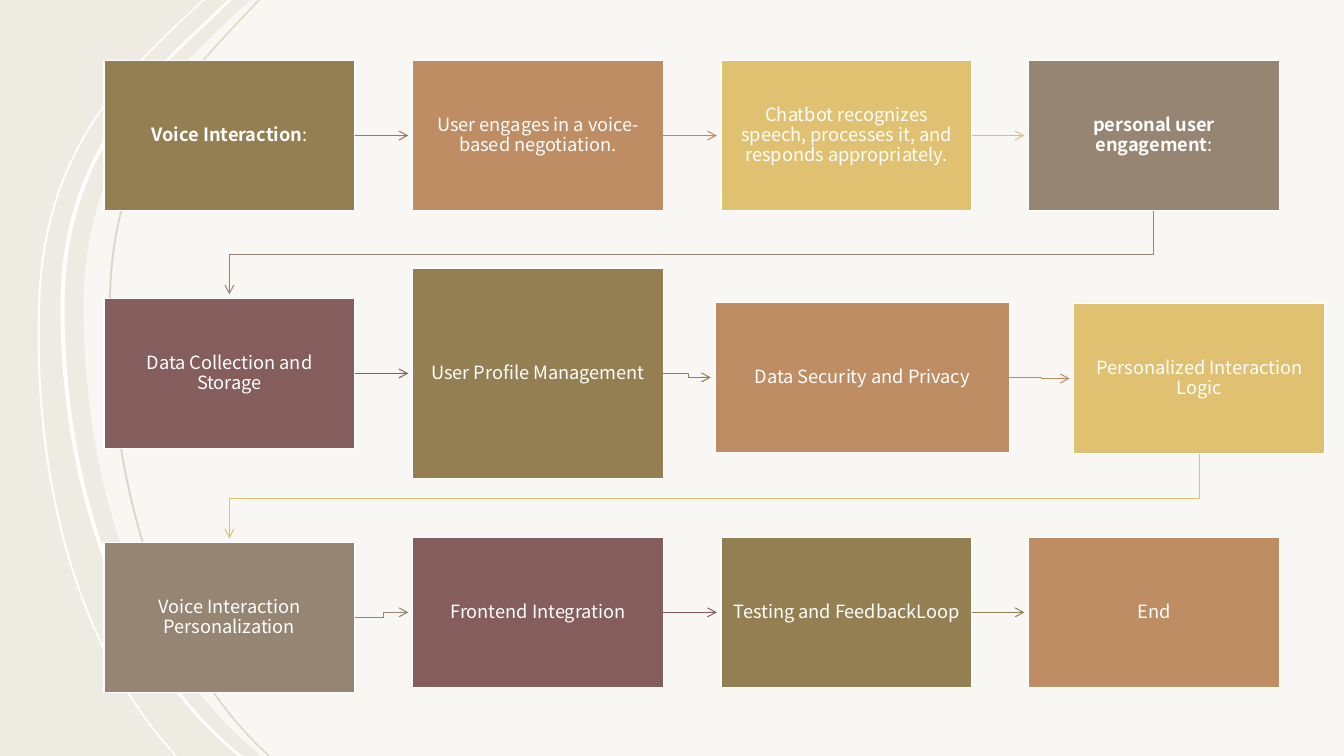
from dataclasses import dataclass
from typing import Any

from pptx import Presentation
from pptx import util as u
from pptx.dml.color import RGBColor
from pptx.enum import shapes, text
from pptx.oxml import parse_xml
from pptx.oxml.ns import nsdecls, qn

Point = tuple[float, float]
Segment = tuple[Point, ...]
WIDTH, HEIGHT = 13.33, 7.5


@dataclass(frozen=True)
class Theme:
    font: str = "Noto Sans CJK JP"
    size: float = 13
    outline: float = 1
    arrow: float = 0.75
    background: str = "EEEBE2"
    white: str = "FFFFFF"
    hairline: str = "DDD7C5"
    cycle: tuple[str, ...] = ("947F53", "BE8D64", "E0C171", "968572", "855D5D")


@dataclass(frozen=True)
class Arc:
    top: float
    shoulder: Point
    upper: tuple[Point, Point, Point]
    lower: tuple[Point, Point, Point]
    bottom: float
    color: str
    thickness: float | None = None
    opacity: int = 100


@dataclass(frozen=True)
class Step:
    label: str
    bold: str = ""
    shift: Point = (0, 0)
    size: Point = (2.49, 1.49)


@dataclass(frozen=True)
class Grid:
    lefts: tuple[float, ...] = (1.03, 4.09, 7.15, 10.2)
    tops: tuple[float, ...] = (0.6, 2.96, 5.33)
    height: float = 1.49
    gap: float = 0.04
    bend: int = 53000


THEME = Theme()
GRID = Grid()
ARCS = [
    Arc(2.48, (2.11, 0.35), ((1.39, 1.04), (0.83, 1.79), (0.83, 3.04)),
        ((0.83, 4.92), (1.45, 6.57), (2.57, 7.48)), 2.59, THEME.white, opacity=60),
    Arc(2.01, (1.75, 0.24), ((1.02, 0.93), (0.43, 1.68), (0.38, 2.97)),
        ((0.31, 4.8), (0.78, 6.45), (1.71, 7.47)), 1.73, THEME.white, 0.02),
    Arc(2.26, (1.89, 0.35), ((1.17, 1.04), (0.6, 1.79), (0.6, 3.04)),
        ((0.6, 4.92), (1.23, 6.57), (2.34, 7.48)), 2.37, THEME.white, 0.04),
    Arc(2.56, (2.23, 0.35), ((1.59, 1.04), (1.08, 1.79), (1.08, 3.04)),
        ((1.08, 4.92), (1.64, 6.57), (2.64, 7.48)), 2.66, THEME.hairline, 0.02),
]
STEPS = [
    Step(":", bold="Voice Interaction"),
    Step("User engages in a voice-based negotiation."),
    Step("Chatbot recognizes speech, processes it, and responds appropriately."),
    Step(":", bold="personal user engagement"),
    Step("Data Collection and Storage"),
    Step("User Profile Management", size=(2.49, 2.09)),
    Step("Data Security and Privacy", shift=(-0.06, 0.04), size=(2.92, 1.49)),
    Step("Personalized Interaction Logic", shift=(0.45, 0.05)),
    Step("Voice Interaction Personalization", shift=(0, 0.05)),
    Step("Frontend Integration"),
    Step("Testing and FeedbackLoop"),
    Step("End"),
]


def apply(target: Any, values: dict[str, Any]) -> None:
    for name, value in values.items():
        setattr(target, name, value)


def paint(shape: Any, color: str) -> None:
    shape.shadow.inherit = False
    shape.fill.solid()
    shape.fill.fore_color.rgb = RGBColor.from_string(color)


def stroke(shape: Any, color: str, width: float) -> None:
    shape.line.color.rgb = RGBColor.from_string(color)
    shape.line.width = u.Pt(width)


def arc_segments(arc: Arc) -> list[Segment]:
    edge: list[Segment] = [(arc.shoulder,), arc.upper, arc.lower, ((arc.bottom, HEIGHT),)]
    if arc.thickness is None:
        return edge + [((WIDTH, HEIGHT),), ((WIDTH, 0),)]
    back: list[Segment] = [
        ((arc.bottom, HEIGHT),), (arc.lower[2],),
        (arc.lower[1], arc.lower[0], arc.upper[2]),
        (arc.upper[1], arc.upper[0], arc.shoulder), ((arc.top, 0),)]
    return edge + [tuple((x + arc.thickness, y) for x, y in segment) for segment in back]


def draw_arc(page: Any, arc: Arc) -> None:
    segments = arc_segments(arc)
    builder = page.shapes.build_freeform(u.Inches(arc.top), 0)
    builder.add_line_segments([(u.Inches(x), u.Inches(y)) for x, y in
                               (segment[-1] for segment in segments)], close=True)
    shape = builder.convert_to_shape()
    straights = list(shape._element.spPr.iter(qn("a:lnTo")))
    for straight, segment in zip(straights, segments):
        if len(segment) == 3:
            points = "".join(f'<a:pt x="{u.Inches(x) - shape.left}" y="{u.Inches(y) - shape.top}"/>'
                             for x, y in segment)
            straight.getparent().replace(straight, parse_xml(
                f'<a:cubicBezTo {nsdecls("a")}>{points}</a:cubicBezTo>'))
    paint(shape, arc.color)
    shape.line.fill.background()
    if arc.opacity < 100:
        tint = shape._element.spPr.find(f".//{qn('a:srgbClr')}")
        tint.append(parse_xml(f'<a:alpha {nsdecls("a")} val="{arc.opacity * 1000}"/>'))


def draw_step(page: Any, index: int, step: Step) -> Any:
    row, column = divmod(index, len(GRID.lefts))
    width, height = step.size
    left = GRID.lefts[column] + step.shift[0]
    top = GRID.tops[row] + step.shift[1] - (height - GRID.height) / 2
    box = page.shapes.add_shape(shapes.MSO_SHAPE.RECTANGLE,
                                *(u.Inches(n) for n in (left, top, width, height)))
    paint(box, THEME.cycle[index % len(THEME.cycle)])
    stroke(box, THEME.white, THEME.outline)
    apply(box.text_frame, {
        "word_wrap": True, "vertical_anchor": text.MSO_ANCHOR.MIDDLE,
        "margin_left": u.Inches(0.12), "margin_right": u.Inches(0.12),
        "margin_top": u.Inches(0.13), "margin_bottom": u.Inches(0.13)})
    para = box.text_frame.paragraphs[0]
    apply(para, {"alignment": text.PP_ALIGN.CENTER, "line_spacing": 0.9,
                 "space_after": u.Pt(4.5)})
    for words, bold in ((step.bold, True), (step.label, False)):
        if words:
            span = para.add_run()
            span.text = words
            apply(span.font, {"name": THEME.font, "size": u.Pt(THEME.size), "bold": bold})
            span.font.color.rgb = RGBColor.from_string(THEME.white)
    return box


def draw_arrow(page: Any, index: int, source: Any, target: Any) -> None:
    gap = u.Inches(GRID.gap)
    kind = shapes.MSO_CONNECTOR.ELBOW
    if (index + 1) % len(GRID.lefts) == 0:
        start = (source.left + source.width // 2, source.top + source.height)
        end = (target.left + target.width // 2, target.top - gap)
        across, down = start[0] - end[0], end[1] - start[1]
        left = (start[0] + end[0] - down) // 2
        top = (start[1] + end[1] - across) // 2
        arrow = page.shapes.add_connector(kind, left, top, left + down, top + across)
        arrow.rotation = 90
    else:
        start = (source.left + source.width, source.top + source.height // 2)
        end = (target.left - gap, target.top + target.height // 2)
        arrow = page.shapes.add_connector(kind, *start, *end)
    arrow._element.spPr.find(f".//{qn('a:avLst')}").append(parse_xml(
        f'<a:gd {nsdecls("a")} name="adj1" fmla="val {GRID.bend}"/>'))
    stroke(arrow, THEME.cycle[index % len(THEME.cycle)], THEME.arrow)
    properties = arrow._element.spPr
    properties.find(qn("a:ln")).append(parse_xml(f'<a:tailEnd {nsdecls("a")} type="arrow"/>'))
    properties.append(parse_xml(f'<a:effectLst {nsdecls("a")}/>'))


def main() -> None:
    deck = Presentation()
    apply(deck, {"slide_width": u.Inches(WIDTH), "slide_height": u.Inches(HEIGHT)})
    page = deck.slides.add_slide(deck.slide_layouts[6])
    page.background.fill.solid()
    page.background.fill.fore_color.rgb = RGBColor.from_string(THEME.background)
    for arc in ARCS:
        draw_arc(page, arc)
    boxes = [draw_step(page, index, step) for index, step in enumerate(STEPS)]
    for index, (source, target) in enumerate(zip(boxes, boxes[1:])):
        draw_arrow(page, index, source, target)
    deck.save("out.pptx")


if __name__ == "__main__":
    main()
